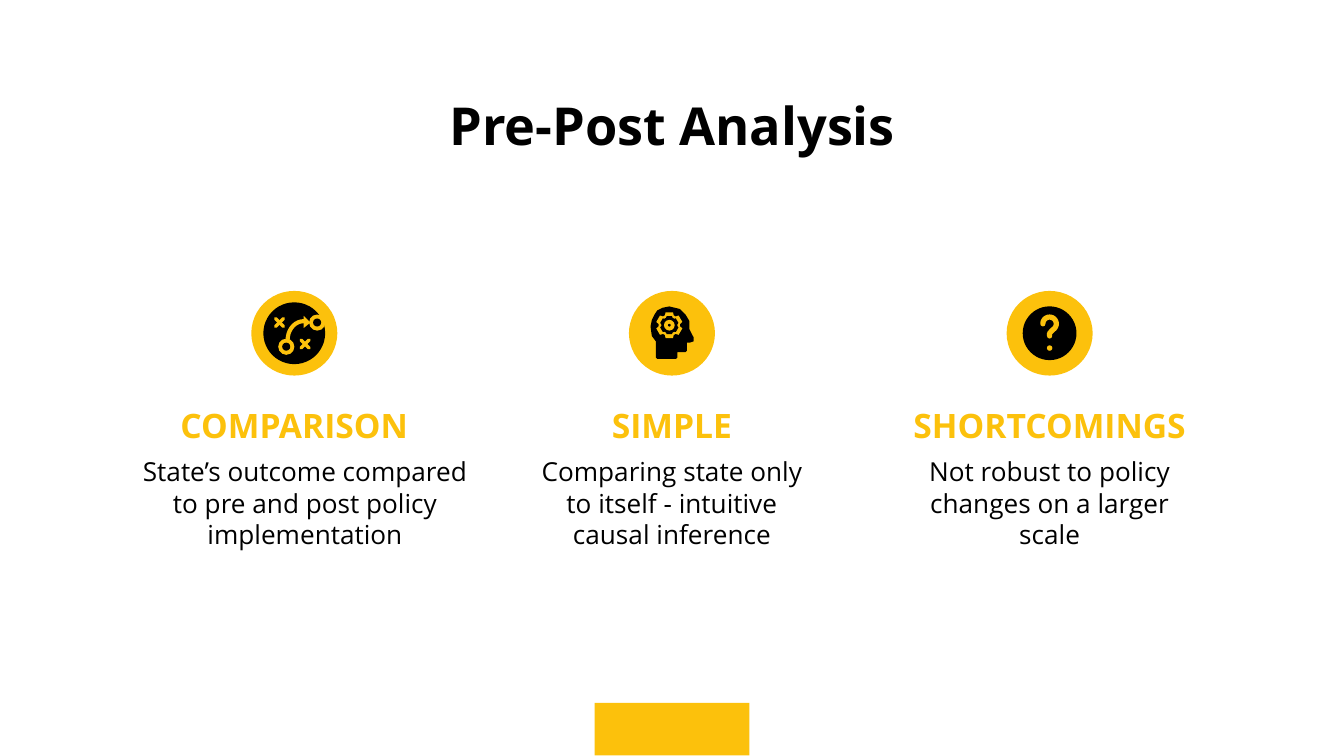
from dataclasses import dataclass
from math import cos, radians, sin

from lxml import etree
from pptx import Presentation, util as u
from pptx.dml.color import RGBColor
from pptx.enum import shapes, text

WIDTH = 10
HEIGHT = WIDTH * 9 / 16
PITCH = 2.81
MIDDLE = WIDTH / 2
ICON_Y = 2.48
GOLD, BLACK, WHITE = "FCC10C", "000000", "FFFFFF"
Point = tuple[float, float]


@dataclass(frozen=True)
class Aspect:
    """One column: its place on the grid and its wording."""
    column: int
    heading: str
    detail: str
    detail_width: float = 2.34
    detail_shift: float = 0

    @property
    def center(self) -> float:
        """Horizontal middle of the column."""
        return MIDDLE + self.column * PITCH


ASPECTS = [
    Aspect(-1, "COMPARISON", "State’s outcome compared to pre and post policy implementation", 2.78, .08),
    Aspect(0, "SIMPLE", "Comparing state only to itself - intuitive causal inference"),
    Aspect(1, "SHORTCOMINGS", "Not robust to policy changes on a larger scale"),
]
HEAD = [(-.02, -.2), (.02, -.19), (.06, -.18), (.1, -.14), (.13, -.09), (.13, -.03),
        (.16, .03), (.16, .06), (.13, .07), (.11, .07), (.11, .13), (.1, .14),
        (.04, .14), (.04, .18), (.03, .19), (-.11, .19), (-.12, .18), (-.12, .06),
        (-.15, .02), (-.16, -.05), (-.15, -.1), (-.13, -.14), (-.11, -.17), (-.07, -.19)]


def color(value: str) -> RGBColor:
    """Turn a hex string into a colour."""
    return RGBColor.from_string(value)


def paint(shape, fill: str):
    """Give a shape a plain fill without line or shadow."""
    shape.shadow.inherit = False
    shape.fill.solid()
    shape.fill.fore_color.rgb = color(fill)
    shape.line.fill.background()


def solid(slide, kind, center: Point, width: float, height: float, fill: str):
    """Draw a filled preset shape around its centre."""
    x, y = center
    paint(slide.shapes.add_shape(kind, u.Inches(x - width / 2), u.Inches(y - height / 2),
                                 u.Inches(width), u.Inches(height)), fill)


def disc(slide, center: Point, radius: float, fill: str):
    """Draw a filled circle."""
    solid(slide, shapes.MSO_SHAPE.OVAL, center, 2 * radius, 2 * radius, fill)


def outline(slide, center: Point, points: list[Point], close: bool):
    """Build a path from offsets around a centre."""
    placed = [(u.Inches(center[0] + x), u.Inches(center[1] + y)) for x, y in points]
    builder = slide.shapes.build_freeform(*placed[0])
    builder.add_line_segments(placed[1:], close=close)
    return builder.convert_to_shape()


def stroke(slide, center: Point, points: list[Point], weight: float):
    """Draw a golden open line with round ends."""
    line = outline(slide, center, points, False)
    line.shadow.inherit = False
    line.fill.background()
    line.line.color.rgb = color(GOLD)
    line.line.width = u.Pt(weight)
    pen = line.line._get_or_add_ln()
    pen.set("cap", "rnd")
    etree.SubElement(pen, pen.tag.replace("}ln", "}round"))


def arc(center: Point, rx: float, ry: float, start: int, end: int) -> list[Point]:
    """List points along an elliptical arc, angles in degrees."""
    return [(center[0] + rx * cos(radians(a)), center[1] + ry * sin(radians(a)))
            for a in range(start, end + 1, 10)]


def gear(slide, center: Point, tip: float, root: float, fill: str):
    """Draw a wheel with six teeth."""
    rim = [(r * cos(radians(tooth + a)), r * sin(radians(tooth + a)))
           for tooth in range(30, 390, 60)
           for a, r in ((-24, root), (-16, tip), (16, tip), (24, root))]
    paint(outline(slide, center, rim, True), fill)


def draw_strategy(slide, center: Point):
    """Draw the game plan with crosses, rings and an arrow."""
    x, y = center
    disc(slide, center, .23, BLACK)
    for dx, dy in ((-.11, -.08), (.08, .08)):
        for slope in (1, -1):
            stroke(slide, (x + dx, y + dy), [(-.03, -.03 * slope), (.03, .03 * slope)], 1.8)
    for dx, dy in ((-.06, .1), (.17, -.08)):
        disc(slide, (x + dx, y + dy), .06, GOLD)
        disc(slide, (x + dx, y + dy), .03, BLACK)
    stroke(slide, center, arc((.07, .05), .12, .14, 180, 270), 2.2)
    paint(outline(slide, center, [(.07, -.13), (.12, -.08), (.07, -.04)], True), GOLD)


def draw_mind(slide, center: Point):
    """Draw the head with a gear inside."""
    paint(outline(slide, center, HEAD, True), BLACK)
    hub = (center[0] - .02, center[1] - .06)
    gear(slide, hub, .1, .08, GOLD)
    gear(slide, hub, .07, .06, BLACK)
    disc(slide, hub, .04, GOLD)
    disc(slide, hub, .01, BLACK)


def draw_question(slide, center: Point):
    """Draw the question mark on its disc."""
    disc(slide, center, .2, BLACK)
    hook = arc((0, -.07), .05, .05, 180, 420)
    stroke(slide, center, hook + [(0, 0), (0, .02)], 2.8)
    disc(slide, (center[0], center[1] + .11), .02, GOLD)


def write(slide, center: float, top: float, width: float, height: float, words: str,
          size: float, fill: str, bold: bool = False, spacing: float = 1):
    """Write one centred paragraph."""
    frame = slide.shapes.add_textbox(u.Inches(center - width / 2), u.Inches(top),
                                     u.Inches(width), u.Inches(height)).text_frame
    frame.word_wrap = True
    frame.margin_left = frame.margin_right = frame.margin_top = frame.margin_bottom = u.Inches(.1)
    paragraph = frame.paragraphs[0]
    paragraph.alignment = text.PP_ALIGN.CENTER
    paragraph.line_spacing = spacing
    run = paragraph.add_run()
    run.text = words
    run.font.name, run.font.size, run.font.bold = "Open Sans", u.Pt(size), bold
    run.font.color.rgb = color(fill)


def main():
    """Build and save the slide."""
    deck = Presentation()
    deck.slide_width, deck.slide_height = u.Inches(WIDTH), u.Inches(HEIGHT)
    slide = deck.slides.add_slide(deck.slide_layouts[6])
    slide.background.fill.solid()
    slide.background.fill.fore_color.rgb = color(WHITE)
    solid(slide, shapes.MSO_SHAPE.RECTANGLE, (MIDDLE, HEIGHT - .2), 1.15, .39, GOLD)
    write(slide, MIDDLE, .59, 8.02, .59, "Pre-Post Analysis", 28, BLACK, True)
    for aspect, draw_icon in zip(ASPECTS, (draw_strategy, draw_mind, draw_question)):
        write(slide, aspect.center, 2.87, 2.34, .44, aspect.heading, 18, GOLD, True, 1.15)
        write(slide, aspect.center + aspect.detail_shift, 3.29, aspect.detail_width, .75,
              aspect.detail, 14, BLACK)
        solid(slide, shapes.MSO_SHAPE.OVAL, (aspect.center, ICON_Y), .64, .63, GOLD)
        draw_icon(slide, (aspect.center, ICON_Y))
    deck.save("out.pptx")


if __name__ == "__main__":
    main()
